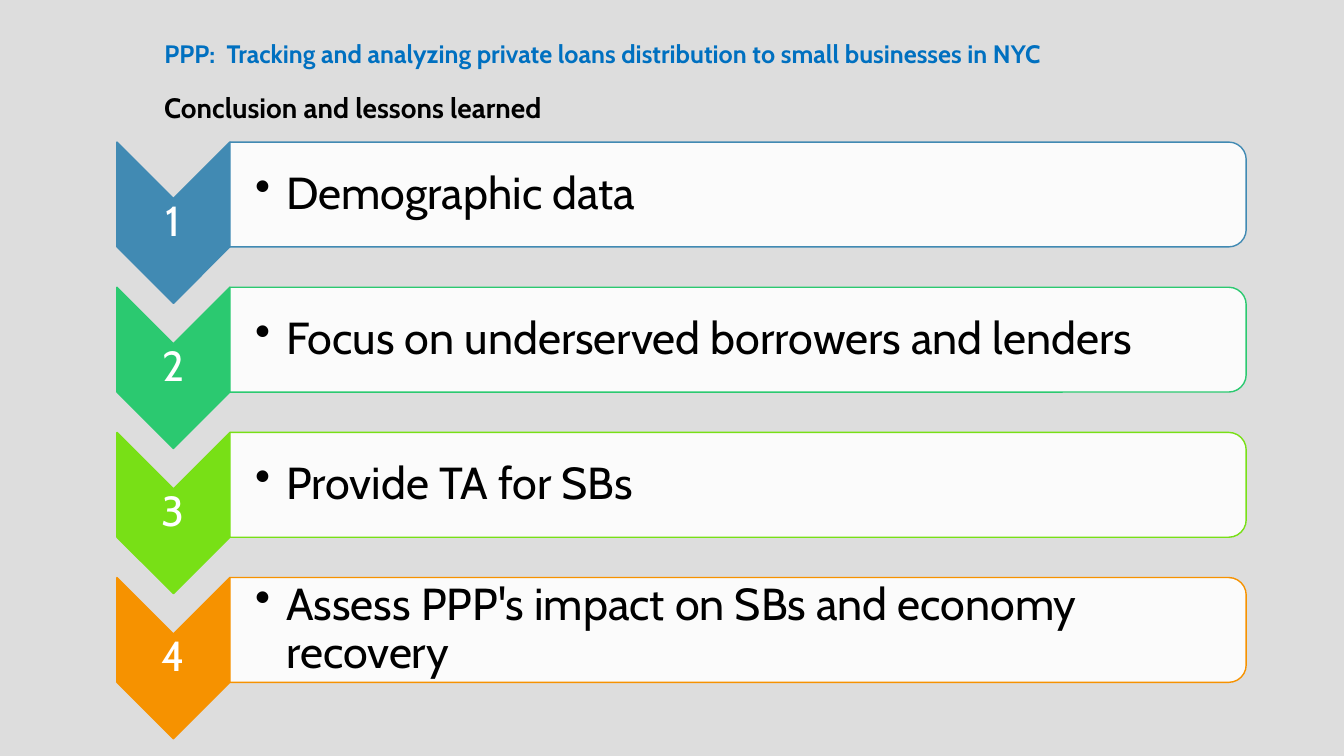
from dataclasses import dataclass

from lxml import etree
from pptx import Presentation
from pptx.dml.color import RGBColor
from pptx.enum.shapes import MSO_SHAPE
from pptx.enum.text import MSO_ANCHOR, PP_ALIGN
from pptx.oxml.ns import qn
from pptx.util import Inches, Pt

CHEVRON = MSO_SHAPE.CHEVRON
ROUNDED_END = MSO_SHAPE.ROUND_2_SAME_RECTANGLE
LEFT, CENTER = PP_ALIGN.LEFT, PP_ALIGN.CENTER
TOP, MIDDLE = MSO_ANCHOR.TOP, MSO_ANCHOR.MIDDLE
TITLE_ONLY = 5


@dataclass(frozen=True)
class Theme:
    font: str = "Cabin"
    background: str = "DDDDDD"
    title: str = "0070C0"
    ink: str = "000000"
    white: str = "FFFFFF"
    title_size: int = 18
    heading_size: int = 20
    number_size: int = 30
    lesson_size: int = 32


THEME = Theme()

LESSONS = [
    ("Demographic data", "418AB3"),
    ("Focus on underserved borrowers and lenders", "2BC970"),
    ("Provide TA for SBs", "78E016"),
    ("Assess PPP's impact on SBs and economy recovery", "F69200"),
]
FIRST_CENTER, PITCH = 2.21, 1.44
CHEVRON_LEFT, CHEVRON_WIDTH, CHEVRON_HEIGHT = 1.16, 1.12, 1.6
PANEL_LEFT = CHEVRON_LEFT + CHEVRON_WIDTH
PANEL_WIDTH, PANEL_HEIGHT = 10.08, 1.04
PANEL_RISE = 0.28  # panel centre above chevron centre


def write_text(shape, text, *, size, color, bold=False, align=LEFT, anchor=TOP,
               insets=(0.1, 0.05, 0.1, 0.05), spacing=1.0, bullet_indent=None):
    frame = shape.text_frame
    frame.word_wrap = True
    frame.vertical_anchor = anchor
    (frame.margin_left, frame.margin_top,
     frame.margin_right, frame.margin_bottom) = map(Inches, insets)
    paragraph = frame.paragraphs[0]
    paragraph.alignment = align
    paragraph.line_spacing = spacing
    run = paragraph.add_run()
    run.text = text
    run.font.name = THEME.font
    run.font.size = Pt(size)
    run.font.bold = bold
    run.font.color.rgb = RGBColor.from_string(color)
    if bullet_indent:
        properties = paragraph._p.get_or_add_pPr()
        properties.set("marL", str(Inches(bullet_indent)))
        properties.set("indent", str(-Inches(bullet_indent)))
        etree.SubElement(properties, qn("a:buChar"), char="•")


class LessonSlide:
    def __init__(self, presentation, theme):
        self.theme = theme
        self.slide = presentation.slides.add_slide(
            presentation.slide_layouts[TITLE_ONLY])
        fill = self.slide.background.fill
        fill.solid()
        fill.fore_color.rgb = RGBColor.from_string(theme.background)

    def title(self, text, left, top, width, height):
        title = self.slide.shapes.title
        title.left, title.top = Inches(left), Inches(top)
        title.width, title.height = Inches(width), Inches(height)
        write_text(title, text, size=self.theme.title_size,
                   color=self.theme.title, bold=True)

    def text(self, text, left, top, width, height, **style):
        box = self.slide.shapes.add_textbox(
            Inches(left), Inches(top), Inches(width), Inches(height))
        write_text(box, text, **style)

    def turned_shape(self, kind, left, center, width, height, fill, line, opacity=100):
        """Place a shape turned a quarter clockwise; width and height are as seen."""
        shape = self.slide.shapes.add_shape(
            kind, Inches(left + (width - height) / 2), Inches(center - width / 2),
            Inches(height), Inches(width))
        shape.rotation = 90
        shape.shadow.inherit = False
        shape.fill.solid()
        shape.fill.fore_color.rgb = RGBColor.from_string(fill)
        shape.line.color.rgb = RGBColor.from_string(line)
        shape.line.width = Pt(1)
        if opacity < 100:
            color = shape.element.spPr.find(qn("a:solidFill"))[0]
            etree.SubElement(color, qn("a:alpha"), val=str(opacity * 1000))

    def lesson(self, number, text, color, center):
        theme = self.theme
        self.turned_shape(CHEVRON, CHEVRON_LEFT, center,
                          CHEVRON_WIDTH, CHEVRON_HEIGHT, color, color)
        self.text(str(number), CHEVRON_LEFT, center - 0.24, CHEVRON_WIDTH, 0.48,
                  size=theme.number_size, color=theme.white, align=CENTER,
                  anchor=MIDDLE, insets=(0.02,) * 4, spacing=0.9)
        panel_center = center - PANEL_RISE
        self.turned_shape(ROUNDED_END, PANEL_LEFT, panel_center,
                          PANEL_WIDTH, PANEL_HEIGHT, theme.white, color, opacity=90)
        self.text(text, PANEL_LEFT, panel_center - 0.47, PANEL_WIDTH - 0.05, 0.94,
                  size=theme.lesson_size, color=theme.ink, anchor=MIDDLE,
                  insets=(0.25, 0.02, 0.02, 0.02), spacing=0.9, bullet_indent=0.31)


def main():
    presentation = Presentation()
    presentation.slide_width = Inches(13.33)
    presentation.slide_height = Inches(7.5)
    slide = LessonSlide(presentation, THEME)
    slide.title("PPP:  Tracking and analyzing private loans distribution "
                "to small businesses in NYC", 1.53, 0.33, 10.49, 0.4)
    slide.text("Conclusion and lessons learned", 1.53, 0.85, 9.52, 0.44,
               size=THEME.heading_size, color=THEME.ink, bold=True)
    for index, (text, color) in enumerate(LESSONS):
        slide.lesson(index + 1, text, color, FIRST_CENTER + index * PITCH)
    presentation.save("out.pptx")


if __name__ == "__main__":
    main()
